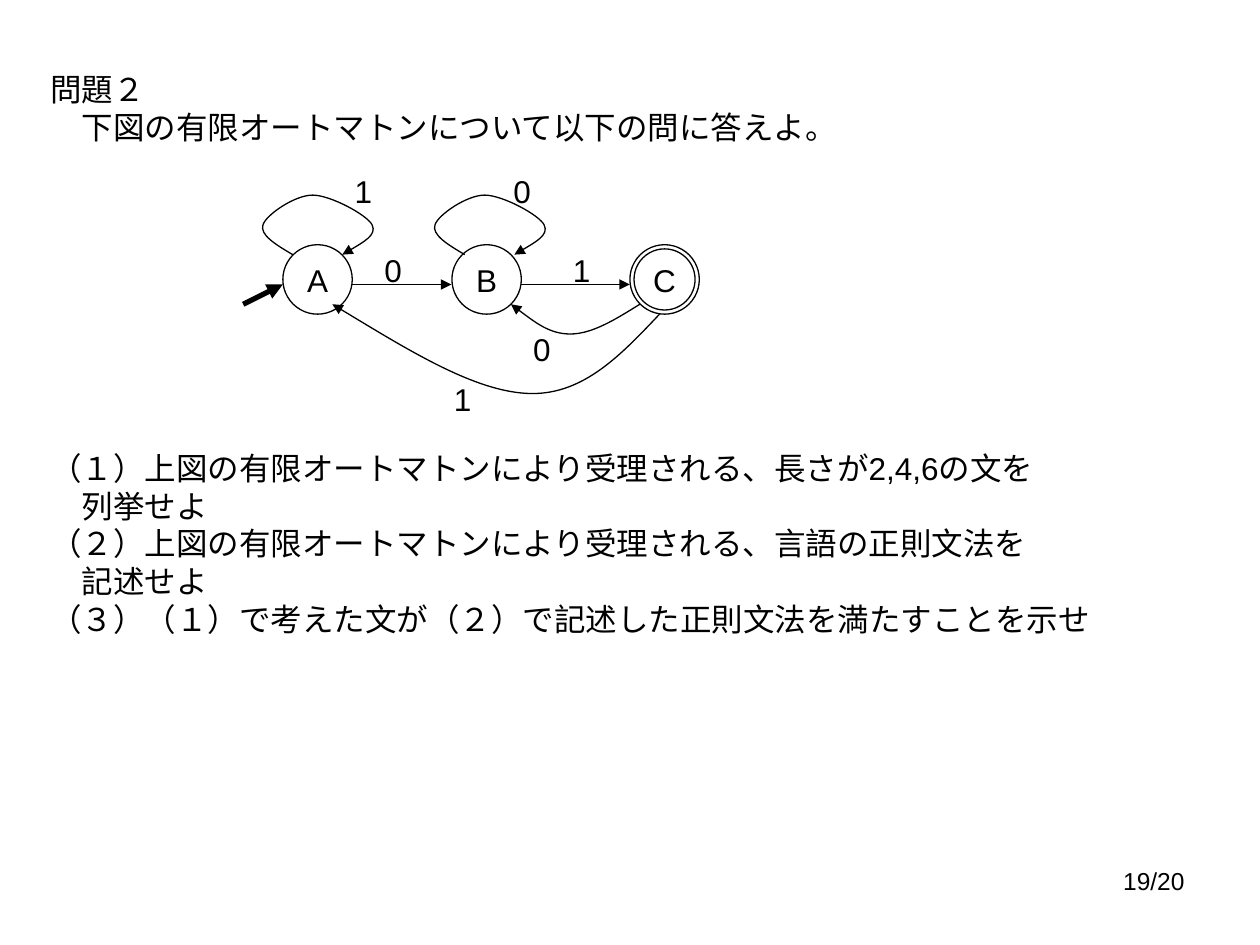
from dataclasses import dataclass

from pptx import Presentation
from pptx.dml.color import RGBColor
from pptx.enum.shapes import MSO_CONNECTOR, MSO_SHAPE
from pptx.enum.text import MSO_ANCHOR, PP_ALIGN
from pptx.oxml.ns import qn
from pptx.oxml.xmlchemy import OxmlElement
from pptx.util import Inches, Pt

BLACK = RGBColor(0x00, 0x00, 0x00)
FONT = "Arial"
SLIDE_WIDTH, SLIDE_HEIGHT = Inches(10), Inches(7.5)
COLUMNS, ROWS = 46, 26

INTRODUCTION = ["問題２", "　下図の有限オートマトンについて以下の問に答えよ。"]
QUESTIONS = [
    "（１）上図の有限オートマトンにより受理される、長さが2,4,6の文を",
    "　列挙せよ",
    "（２）上図の有限オートマトンにより受理される、言語の正則文法を",
    "　記述せよ",
    "（３）（１）で考えた文が（２）で記述した正則文法を満たすことを示せ",
]
STATES = [
    ("A", MSO_SHAPE.OVAL, 4),
    ("B", MSO_SHAPE.OVAL, 21.05),
    ("C", MSO_SHAPE.DONUT, 39),
]
ARROWS = [((11, 12), (21, 12), 0.75), ((28, 12), (39, 12), 0.75), ((0, 14), (4, 12), 3)]
LOOP = [(5, 9), (3.3, 8), (1.65, 7), (2, 6), (2.3, 5), (5.2, 3), (7, 3),
        (8.8, 3), (12.5, 5), (13, 6), (13.5, 7), (11.7, 8), (10, 9)]
LOOP_OFFSETS = [0, 17.35]
RETURN_CURVES = [
    [(40, 14), (37.6, 15.5), (35.2, 17), (33, 17), (30.9, 17), (29, 15.5), (27, 14)],
    [(42, 15), (38.2, 19), (34.4, 23.1), (29, 23), (23.5, 22.9), (16.3, 18.4), (9, 14)],
]
SYMBOLS = [("1", 20, 21), ("1", 32, 8), ("1", 10, 0),
           ("0", 28, 16), ("0", 26, 0), ("0", 13, 8)]


@dataclass
class Box:
    """A rectangle given as shares of the slide's size."""

    left: float
    top: float
    width: float
    height: float

    def frame(self):
        """Return left, top, width and height as slide lengths."""
        return (int(self.left * SLIDE_WIDTH), int(self.top * SLIDE_HEIGHT),
                int(self.width * SLIDE_WIDTH), int(self.height * SLIDE_HEIGHT))

    def size(self, columns, rows):
        """Return the width and height of a span of grid cells."""
        width, height = self.frame()[2:]
        return int(width * columns / COLUMNS), int(height * rows / ROWS)

    def point(self, column, row):
        """Return the slide position of a grid point."""
        left, top = self.frame()[:2]
        across, down = self.size(column, row)
        return left + across, top + down


def write_lines(shape, lines, size=18, alignment=PP_ALIGN.LEFT, wrap=False):
    """Write one paragraph per line and format its run."""
    text_frame = shape.text_frame
    text_frame.text = "\n".join(lines)
    text_frame.word_wrap = wrap
    for paragraph in text_frame.paragraphs:
        paragraph.alignment = alignment
        for run in paragraph.runs:
            run.font.name = FONT
            run.font.size = Pt(size)
            run.font.color.rgb = BLACK
    return text_frame


def style_line(shape, width=0.75, arrow=False):
    """Draw a black outline without shadow, with an arrowhead if wanted."""
    shape.line.color.rgb = BLACK
    shape.line.width = Pt(width)
    if arrow:
        head = OxmlElement("a:tailEnd")
        head.set("type", "triangle")
        shape.line._get_or_add_ln().append(head)
    properties = shape._element.spPr
    if properties.find(qn("a:effectLst")) is None:
        properties.append(OxmlElement("a:effectLst"))


def add_state(slide, box, name, preset, column):
    """Add one named state circle."""
    shape = slide.shapes.add_shape(preset, *box.point(column, 8), *box.size(7, 7))
    if preset == MSO_SHAPE.DONUT:
        shape.adjustments[0] = 0.06
    shape.fill.background()
    style_line(shape)
    text_frame = write_lines(shape, [name], alignment=PP_ALIGN.CENTER)
    text_frame.vertical_anchor = MSO_ANCHOR.MIDDLE


def add_arrow(slide, box, start, end, width):
    """Add a straight arrow between two grid points."""
    connector = slide.shapes.add_connector(
        MSO_CONNECTOR.STRAIGHT, *box.point(*start), *box.point(*end))
    style_line(connector, width, arrow=True)


def add_curve(slide, box, points):
    """Add a curved arrow through cubic Bezier points."""
    start, *others = [box.point(*point) for point in points]
    builder = slide.shapes.build_freeform(*start)
    builder.add_line_segments(others, close=False)
    shape = builder.convert_to_shape()
    outline = next(shape._element.iter(qn("a:path")))
    segments = outline.findall(qn("a:lnTo"))
    for first in range(0, len(segments), 3):
        curve = OxmlElement("a:cubicBezTo")
        for segment in segments[first:first + 3]:
            curve.append(segment[0])
            outline.remove(segment)
        outline.append(curve)
    shape.fill.background()
    style_line(shape, arrow=True)


def add_automaton(slide, box):
    """Draw the states, transitions and symbols inside the box."""
    for name, preset, column in STATES:
        add_state(slide, box, name, preset, column)
    for start, end, width in ARROWS:
        add_arrow(slide, box, start, end, width)
    loops = [[(column + offset, row) for column, row in LOOP] for offset in LOOP_OFFSETS]
    for points in loops + RETURN_CURVES:
        add_curve(slide, box, points)
    for symbol, column, row in SYMBOLS:
        label = slide.shapes.add_textbox(*box.point(column, row), *box.size(4.3, 5.1))
        write_lines(label, [symbol])


def add_problem(slide, box):
    """Write the introduction and the questions, leaving room for the diagram."""
    textbox = slide.shapes.add_textbox(*box.frame())
    text_frame = write_lines(textbox, INTRODUCTION + QUESTIONS)
    text_frame.paragraphs[len(INTRODUCTION)].space_before = Pt(173)


def add_page_number(slide, box):
    """Write the page number at the right of the box."""
    textbox = slide.shapes.add_textbox(*box.frame())
    write_lines(textbox, ["19/20"], size=14, alignment=PP_ALIGN.RIGHT, wrap=True)


def main():
    """Build and save the slide."""
    presentation = Presentation()
    presentation.slide_width = SLIDE_WIDTH
    presentation.slide_height = SLIDE_HEIGHT
    slide = presentation.slides.add_slide(presentation.slide_layouts[6])
    add_page_number(slide, Box(0.717, 0.91, 0.233, 0.07))
    add_problem(slide, Box(0.03, 0.068, 0.845, 0.613))
    add_automaton(slide, Box(0.193, 0.175, 0.362, 0.273))
    presentation.save("out.pptx")


if __name__ == "__main__":
    main()
